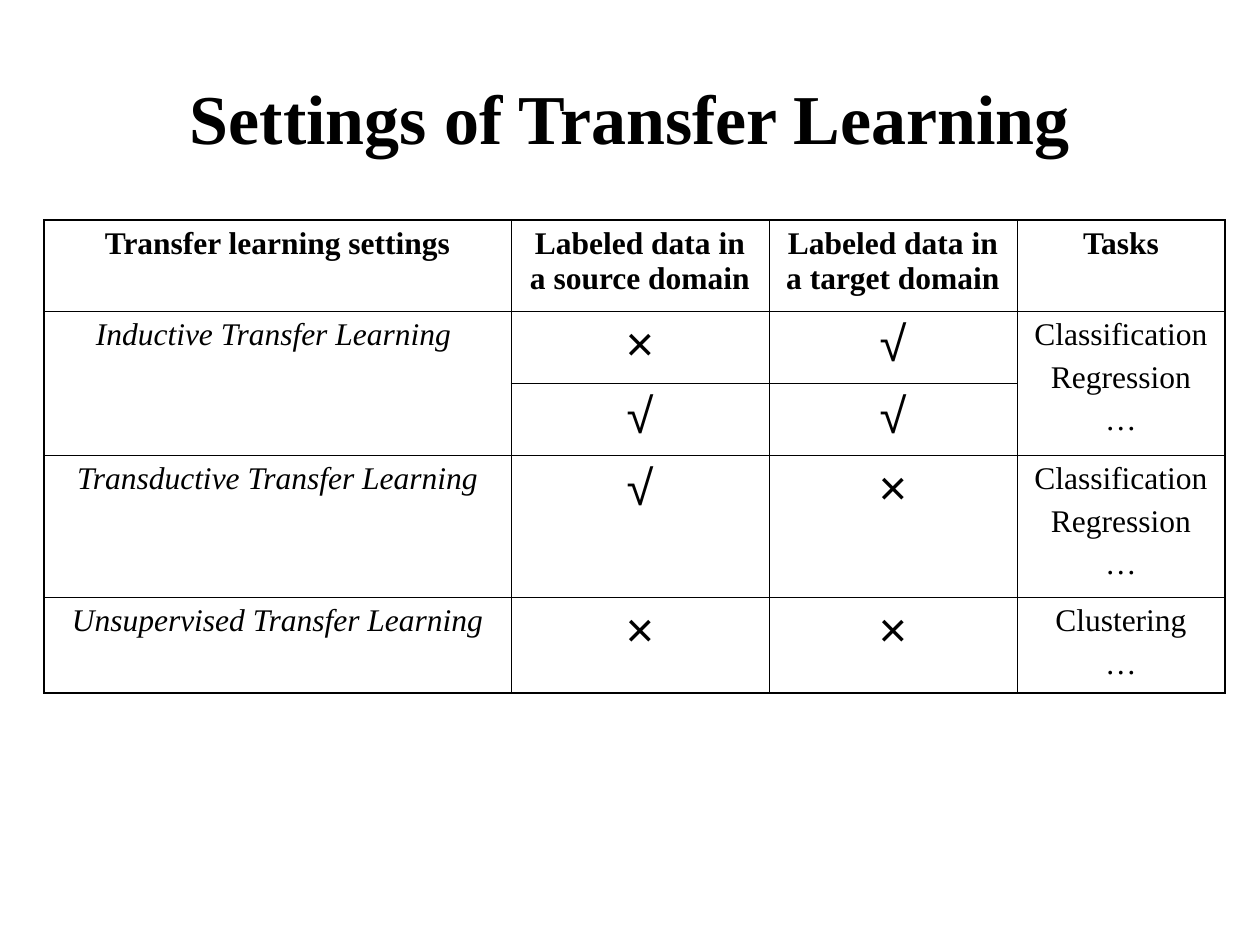
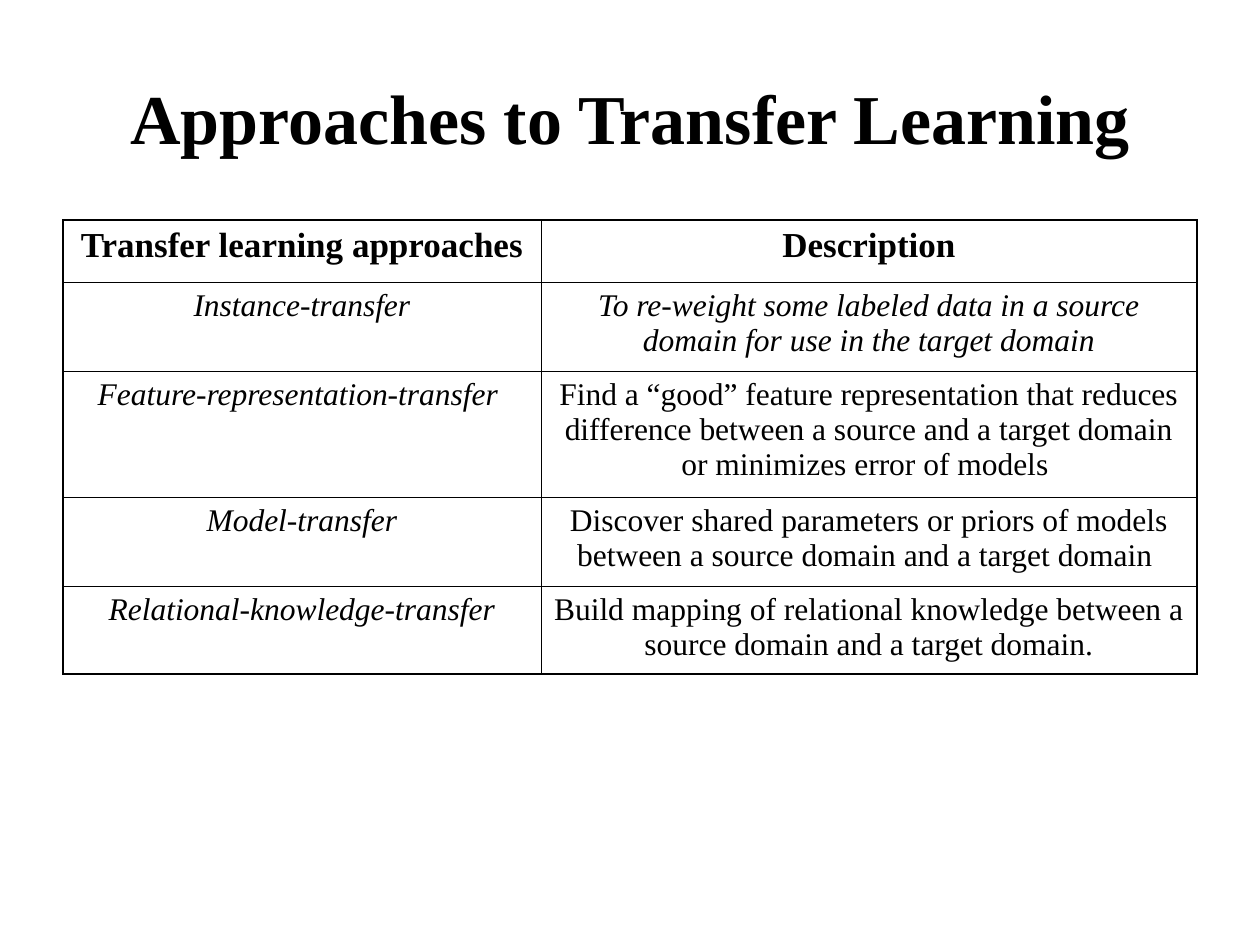
import dataclasses

import lxml.etree
import pptx
import pptx.dml.color
import pptx.enum.text
import pptx.oxml.ns
import pptx.util

UNIT = 914400 / 126  # EMU in one px


@dataclasses.dataclass(frozen=True)
class Style:
    size: float
    face: str = "Times New Roman"
    bold: bool = False
    slant: bool = False


@dataclasses.dataclass(frozen=True)
class Theme:
    ink: str = "000000"
    paper: str = "FFFFFF"
    title: Style = Style(40, bold=True)
    head: Style = Style(18, bold=True)
    large: Style = Style(20, bold=True)
    name: Style = Style(18, slant=True)
    body: Style = Style(18)
    mark: Style = Style(28, face="Arial")
    gap: float = 4.5
    thin: float = 0.45
    thick: float = 1.08


THEME = Theme()
NO, YES = (THEME.mark, "×"), (THEME.mark, "√")
TASKS = (THEME.body, "Classification\nRegression\n…")


def px(count):
    return pptx.util.Emu(round(count * UNIT))


def write(frame, text, style):
    """Fill a frame with centred paragraphs, one for each line of text."""
    frame.word_wrap = True
    for index, line in enumerate(text.split("\n")):
        para = frame.add_paragraph() if index else frame.paragraphs[0]
        para.text = line
        para.alignment = pptx.enum.text.PP_ALIGN.CENTER
        if index:
            para.space_before = pptx.util.Pt(THEME.gap)
        font = para.font
        font.size = pptx.util.Pt(style.size)
        font.name = style.face
        font.bold = style.bold
        font.italic = style.slant
        font.color.rgb = pptx.dml.color.RGBColor.from_string(THEME.ink)


def add_slide(deck, title):
    """Start a blank slide with the shared title."""
    slide = deck.slides.add_slide(deck.slide_layouts[6])
    fill = slide.background.fill
    fill.solid()
    fill.fore_color.rgb = pptx.dml.color.RGBColor.from_string(THEME.paper)
    box = slide.shapes.add_textbox(px(63), px(38), px(1134), px(158))
    box.text_frame.vertical_anchor = pptx.enum.text.MSO_ANCHOR.MIDDLE
    write(box.text_frame, title, THEME.title)
    return slide


def rule_cell(cell, outer):
    """Draw the four borders; sides named in outer are thick."""
    name = pptx.oxml.ns.qn
    props = cell._tc.get_or_add_tcPr()
    for index, side in enumerate("LRTB"):
        width = THEME.thick if side in outer else THEME.thin
        line = lxml.etree.Element(name("a:ln" + side), w=str(pptx.util.Pt(width)))
        fill = lxml.etree.SubElement(line, name("a:solidFill"))
        lxml.etree.SubElement(fill, name("a:srgbClr"), val=THEME.ink)
        props.insert(index, line)


def add_grid(slide, left, top, widths, heights, rows):
    """Add a ruled table; None leaves a cell empty for merging."""
    frame = slide.shapes.add_table(len(heights), len(widths), px(left), px(top),
                                   px(sum(widths)), px(sum(heights)))
    table = frame.table
    table.first_row = table.horz_banding = False
    for column, width in zip(table.columns, widths):
        column.width = px(width)
    for row, height in zip(table.rows, heights):
        row.height = px(height)
    for y, row in enumerate(rows):
        for x, item in enumerate(row):
            cell = table.cell(y, x)
            cell.fill.background()
            edges = {"L": x == 0, "R": x == len(widths) - 1,
                     "T": y == 0, "B": y == len(heights) - 1}
            rule_cell(cell, [side for side, outer in edges.items() if outer])
            if item:
                style, text = item
                write(cell.text_frame, text, style)
    return table


def show_modes(deck):
    slide = add_slide(deck, "Settings of Transfer Learning")
    heads = ("Transfer learning settings", "Labeled data in a source domain",
             "Labeled data in a target domain", "Tasks")
    rows = [
        [(THEME.head, text) for text in heads],
        [(THEME.name, "Inductive Transfer Learning "), NO, YES, TASKS],
        [None, YES, YES, None],
        [(THEME.name, "Transductive Transfer Learning"), YES, NO, TASKS],
        [(THEME.name, "Unsupervised Transfer Learning"), NO, NO,
         (THEME.body, "Clustering\n…")],
    ]
    table = add_grid(slide, 44, 220, (467, 258, 248, 208),
                     (91, 72, 72, 142, 96), rows)
    # The inductive setting covers two rows
    for x in (0, 3):
        table.cell(1, x).merge(table.cell(2, x))


def show_ways(deck):
    slide = add_slide(deck, "Approaches to Transfer Learning")
    rows = [
        [(THEME.large, "Transfer learning approaches"),
         (THEME.large, "Description")],
        [(THEME.name, "Instance-transfer"),
         (THEME.name, "To re-weight some labeled data in a source domain "
                      "for use in the target domain")],
        [(THEME.name, "Feature-representation-transfer "),
         (THEME.body, "Find a “good” feature representation that reduces "
                      "difference between a source and a target domain "
                      "or minimizes error of models ")],
        [(THEME.name, "Model-transfer"),
         (THEME.body, "Discover shared parameters or priors of models "
                      "between a source domain and a target domain ")],
        [(THEME.name, "Relational-knowledge-transfer"),
         (THEME.body, "Build mapping of relational knowledge between a "
                      "source domain and a target domain.")],
    ]
    add_grid(slide, 63, 220, (478, 656), (62, 89, 126, 89, 88), rows)


def main():
    deck = pptx.Presentation()
    deck.slide_width, deck.slide_height = px(1260), px(945)
    show_modes(deck)
    show_ways(deck)
    deck.save("out.pptx")


if __name__ == "__main__":
    main()
